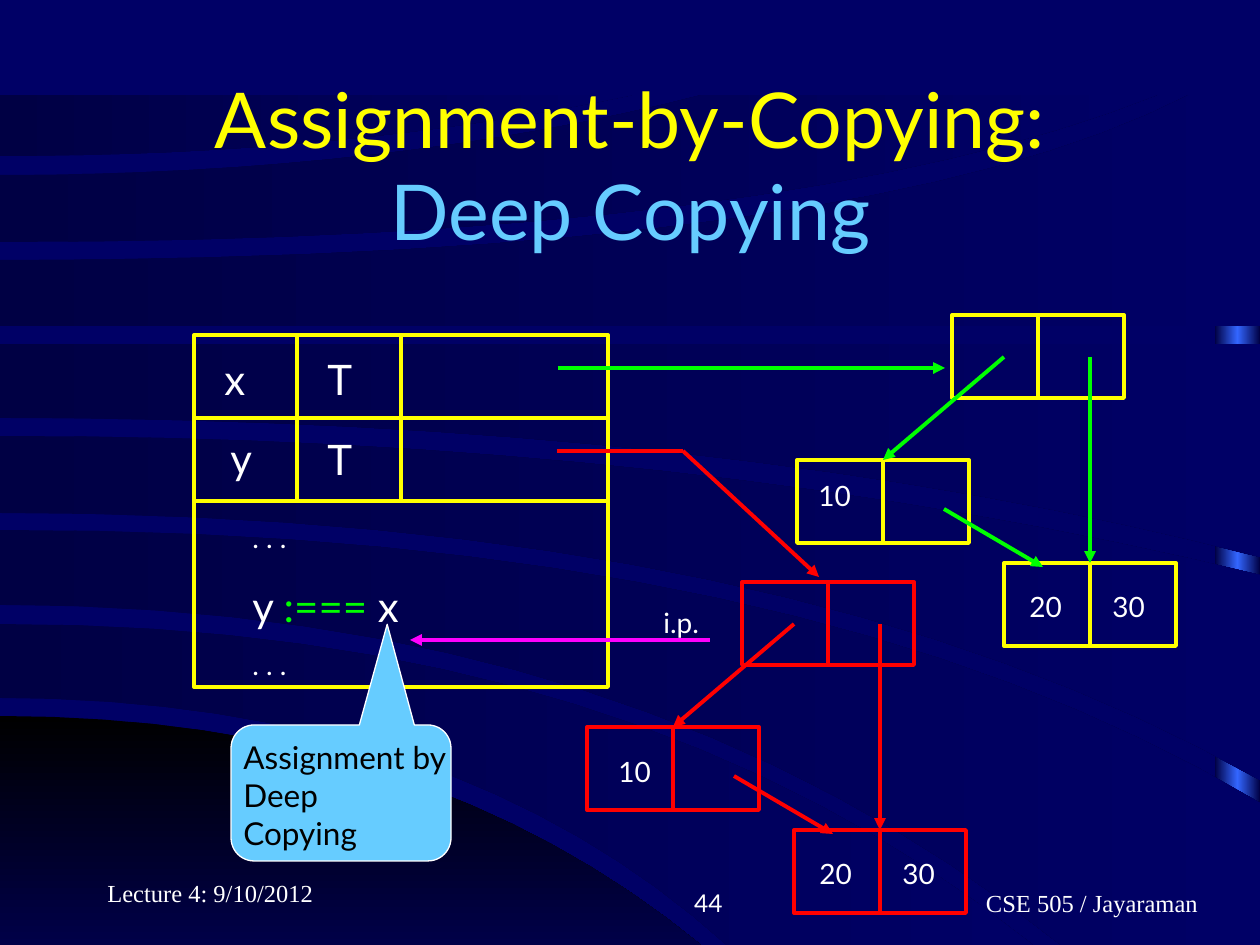
from dataclasses import dataclass

from pptx import Presentation
from pptx.dml.color import RGBColor
from pptx.enum.shapes import MSO_CONNECTOR, MSO_SHAPE
from pptx.enum.text import MSO_ANCHOR, PP_ALIGN
from pptx.oxml import parse_xml
from pptx.oxml.ns import nsdecls, qn
from pptx.util import Pt


@dataclass(frozen=True)
class Theme:
    """Colours, fonts and type sizes of the slide."""
    navy: str = "000066"
    dark: str = "000044"
    dusk: str = "000048"
    black: str = "000000"
    glow: str = "3366FF"
    white: str = "FFFFFF"
    yellow: str = "FFFF00"
    sky: str = "66CCFF"
    green: str = "00FF00"
    red: str = "FF0000"
    magenta: str = "FF00FF"
    sans: str = "Lato"
    serif: str = "Times New Roman"
    title: int = 44
    code: int = 24
    callout: int = 18
    value: int = 16
    footer: int = 14
    stroke: float = 2.25


THEME = Theme()
WIDTH, HEIGHT, SKY_TOP = 1260, 945, 95
CELL, ROW = 86, 83


def px(length):
    """Turn pixels into EMU."""
    return round(length * 914400 / 126)


def rgb(colour):
    """Turn a hex string into a colour."""
    return RGBColor.from_string(colour)


def fill_gradient(shape, colours, angle=0):
    """Fill a shape with evenly spaced colours and no outline."""
    shape.shadow.inherit = False
    shape.line.fill.background()
    shape.fill.background()
    step = 100000 // (len(colours) - 1)
    stops = "".join(f'<a:gs pos="{i * step}"><a:srgbClr val="{colour}"/></a:gs>'
                    for i, colour in enumerate(colours))
    gradient = parse_xml(f'<a:gradFill {nsdecls("a")} rotWithShape="1"><a:gsLst>{stops}</a:gsLst>'
                         f'<a:lin ang="{angle * 60000}" scaled="0"/></a:gradFill>')
    properties = shape.element.spPr
    properties.replace(properties.find(qn("a:noFill")), gradient)


def add_outline(slide, points, colours, angle=0):
    """Draw a closed gradient outline through the points."""
    start, *rest = [(px(x), px(y)) for x, y in points]
    builder = slide.shapes.build_freeform(*start, scale=1.0)
    builder.add_line_segments(rest, close=True)
    fill_gradient(builder.convert_to_shape(), colours, angle)


def sweep(level, bend, end_x, end_y, steps=16):
    """List points of a curve that leaves the left side level and bends to its end."""
    times = [i / steps for i in range(steps + 1)]
    return [(2 * bend * t * (1 - t) + end_x * t * t, level + (end_y - level) * t * t)
            for t in times]


def add_backdrop(slide):
    """Draw the glowing edge, the hill and the sweeping bands."""
    slide.background.fill.solid()
    slide.background.fill.fore_color.rgb = rgb(THEME.navy)
    edge = slide.shapes.add_shape(MSO_SHAPE.RECTANGLE, px(1215), px(97), px(45), px(848))
    fill_gradient(edge, [THEME.dark, THEME.glow, THEME.dark])
    add_outline(slide, sweep(716, 422, 701, HEIGHT) + [(0, HEIGHT)],
                [THEME.black, THEME.dusk], 90)
    bands = (
        ((624, 632, 1033, HEIGHT), (698, 453, 727, HEIGHT), []),
        ((530, 805, WIDTH, 803), (605, 636, 1061, HEIGHT), [(WIDTH, HEIGHT)]),
        ((436, 690, WIDTH, 575), (513, 790, WIDTH, 780), []),
        ((344, 630, WIDTH, 344), (418, 725, WIDTH, 557), []),
        ((260, 870, 1189, SKY_TOP), (326, 630, WIDTH, 326), [(WIDTH, SKY_TOP)]),
        ((175, 390, 702, SKY_TOP), (242, 790, 1157, SKY_TOP), []),
        ((SKY_TOP, 316, 633, SKY_TOP), (156, 345, 633, SKY_TOP), []),
    )
    for upper, lower, corner in bands:
        add_outline(slide, sweep(*upper) + corner + sweep(*lower)[::-1],
                    [THEME.dark, THEME.navy])


def add_text(slide, box, lines, size, colour=THEME.white, font=THEME.sans,
             align=PP_ALIGN.LEFT, anchor=MSO_ANCHOR.TOP):
    """Add a text box with one paragraph per line and return its paragraphs."""
    frame = slide.shapes.add_textbox(*map(px, box)).text_frame
    frame.word_wrap = True
    frame.vertical_anchor = anchor
    frame.text = "\n".join(lines)
    for paragraph in frame.paragraphs:
        paragraph.alignment = align
        paragraph.font.size = Pt(size)
        paragraph.font.name = font
        paragraph.font.color.rgb = rgb(colour)
    return frame.paragraphs


def add_runs(paragraph, pieces):
    """Append coloured pieces of text to a paragraph."""
    for words, colour in pieces:
        run = paragraph.add_run()
        run.text = words
        run.font.color.rgb = rgb(colour)


def add_line(slide, start, end, colour, arrow=False, target=None):
    """Draw a straight line, optionally an arrow joined to the top of a target."""
    line = slide.shapes.add_connector(MSO_CONNECTOR.STRAIGHT, *map(px, start + end))
    line.line.color.rgb = rgb(colour)
    line.line.width = Pt(THEME.stroke)
    properties = line.element.spPr
    if arrow:
        properties.find(qn("a:ln")).append(
            parse_xml(f'<a:tailEnd {nsdecls("a")} type="triangle"/>'))
    properties.append(parse_xml(f'<a:effectLst {nsdecls("a")}/>'))
    if target is not None:
        line.end_connect(target, 0)


def add_frame(slide, box, colour):
    """Draw an unfilled rectangle."""
    frame = slide.shapes.add_shape(MSO_SHAPE.RECTANGLE, *map(px, box))
    frame.shadow.inherit = False
    frame.fill.background()
    frame.line.color.rgb = rgb(colour)
    frame.line.width = Pt(THEME.stroke)
    return frame


def add_pair(slide, left, top, colour):
    """Draw a record of two cells."""
    pair = add_frame(slide, (left, top, 2 * CELL, ROW), colour)
    add_line(slide, (left + CELL, top), (left + CELL, top + ROW), colour)
    return pair


def add_structure(slide, left, top, colour, pointer, ten_offset):
    """Draw a root record, its two linked records and their values."""
    def at(x, y):
        return left + x, top + y

    add_pair(slide, left, top, colour)
    middle = add_pair(slide, *at(-155, 145), colour)
    leaf = add_pair(slide, *at(52, 248), colour)
    add_line(slide, at(52, 42), at(CELL - 155, 145), pointer, True, middle)
    add_line(slide, at(138, 42), at(CELL + 52, 248), pointer, True, leaf)
    add_line(slide, at(-8, 194), at(91, 252), pointer, True)
    for value, offset in (("10", ten_offset), ("20", (65, 268)), ("30", (148, 268))):
        add_text(slide, at(*offset) + (86, 47), [value], THEME.value)


def add_environment(slide):
    """Draw the variable table with the program below it."""
    left, top, width = 194, 335, 414
    add_frame(slide, (left, top, width, 352), THEME.yellow)
    for row in (1, 2):
        add_line(slide, (left, top + row * ROW), (left + width, top + row * ROW), THEME.yellow)
    for column in (1, 2):
        x = left + column * width // 4
        add_line(slide, (x, top), (x, top + 2 * ROW), THEME.yellow)
    for name, x, y in (("x", 212, 347), ("y", 218, 426), ("T", 315, 347), ("T", 315, 427)):
        add_text(slide, (x, y, 86, 63), [name], THEME.code)
    program = add_text(slide, (212, 514, 328, 174), [". . .", "", ". . ."], THEME.value)
    for paragraph in program:
        paragraph._p.get_or_add_pPr().set("marL", str(px(28)))
    assignment = program[1]
    assignment.font.size = Pt(THEME.code)
    add_runs(assignment, [("y ", THEME.white), (":===", THEME.green), (" x", THEME.white)])
    assignment.space_before = Pt(15)
    program[2].space_before = Pt(10)


def add_callout(slide):
    """Draw the callout that explains the assignment."""
    callout = slide.shapes.add_shape(MSO_SHAPE.ROUNDED_RECTANGULAR_CALLOUT,
                                     *map(px, (231, 725, 220, 136)))
    for index, value in enumerate((0.21, -1.24, 0.17)):
        callout.adjustments[index] = value
    callout.shadow.inherit = False
    callout.fill.solid()
    callout.fill.fore_color.rgb = rgb(THEME.sky)
    callout.line.color.rgb = rgb(THEME.white)
    callout.line.width = Pt(0.75)
    add_text(slide, (231, 732, 252, 126), ["Assignment by", "Deep", "Copying"],
             THEME.callout, THEME.black)


def add_footers(slide):
    """Add the date, the slide number and the course."""
    for words, box, font, align in (
            ("Lecture 4: 9/10/2012", (95, 851, 262, 63), THEME.serif, PP_ALIGN.LEFT),
            ("44", (473, 861, 262, 63), THEME.sans, PP_ALIGN.RIGHT),
            ("CSE 505 / Jayaraman", (956, 861, 272, 63), THEME.serif, PP_ALIGN.CENTER)):
        add_text(slide, box, [words], THEME.footer, font=font, align=align,
                 anchor=MSO_ANCHOR.BOTTOM)


def main():
    """Build the slide and save it."""
    deck = Presentation()
    deck.slide_width, deck.slide_height = px(WIDTH), px(HEIGHT)
    slide = deck.slides.add_slide(deck.slide_layouts[6])
    add_backdrop(slide)
    heading = add_text(slide, (95, 85, 1071, 157), [""], THEME.title,
                       align=PP_ALIGN.CENTER, anchor=MSO_ANCHOR.MIDDLE)[0]
    add_runs(heading, [("Assignment-by-Copying:", THEME.yellow)])
    heading.add_line_break()
    add_runs(heading, [("Deep Copying", THEME.sky)])
    add_environment(slide)
    add_structure(slide, 952, 315, THEME.yellow, THEME.green, (-146, 157))
    add_line(slide, (710, 640), (410, 640), THEME.magenta, True)
    add_text(slide, (651, 599, 84, 47), ["i.p."], THEME.value)
    add_line(slide, (558, 368), (945, 368), THEME.green, True)
    add_structure(slide, 742, 582, THEME.red, THEME.red, (-136, 166))
    add_line(slide, (557, 451), (683, 451), THEME.red)
    add_line(slide, (683, 451), (819, 577), THEME.red, True)
    add_callout(slide)
    add_footers(slide)
    deck.save("out.pptx")


if __name__ == "__main__":
    main()
